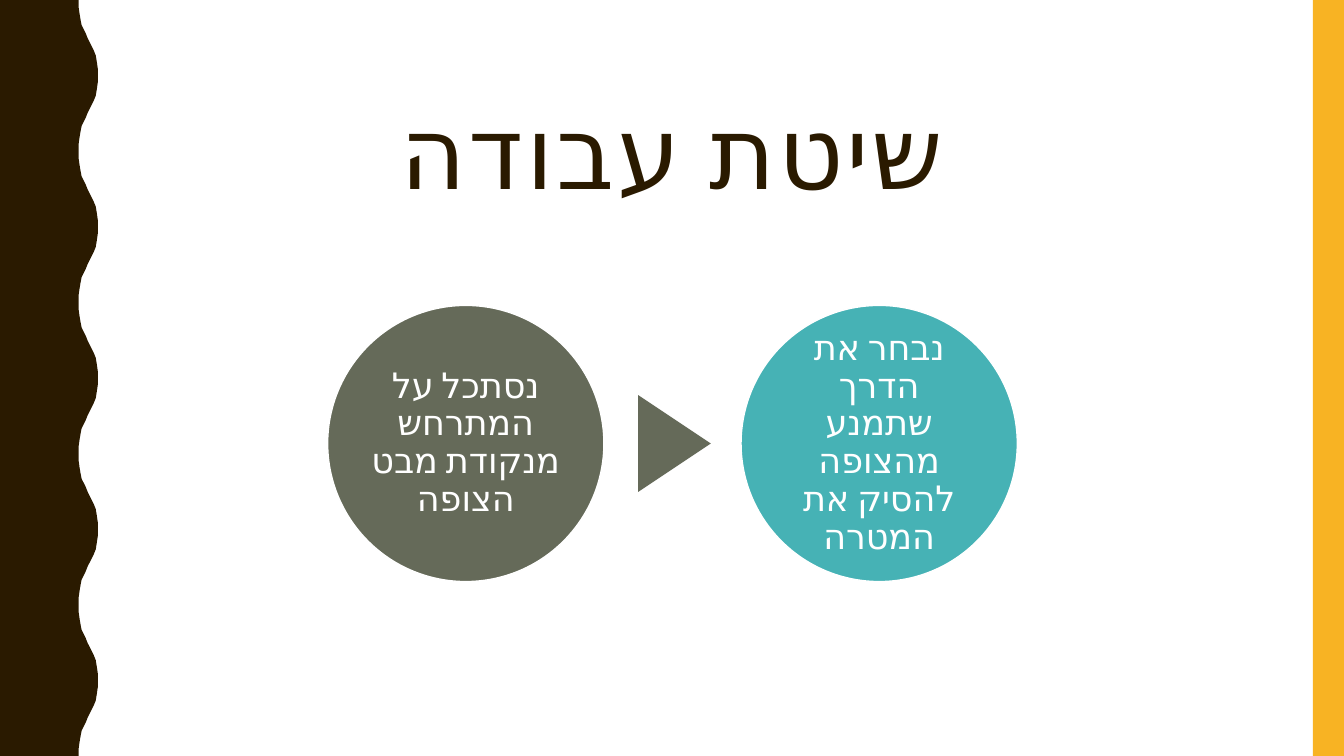
from lxml import etree
from pptx import Presentation, util as u
from pptx.dml.color import RGBColor
from pptx.enum import shapes, text
from pptx.oxml.ns import qn

TITLE = "שיטת עבודה"
STEPS = [
    ("נסתכל על המתרחש מנקודת מבט הצופה", "olive"),
    ("נבחר את הדרך שתמנע מהצופה להסיק את המטרה", "teal"),
]
COLORS = {
    "brown": "2A1A00",
    "amber": "F8B323",
    "olive": "656A59",
    "teal": "46B2B5",
    "white": "FFFFFF",
}

# Lengths in px, 100 to the inch
PX = 9144
WIDTH, HEIGHT = 1333, 750
STRIPE_WIDTH = 31
TITLE_BOX = (173, -54, 987, 420)
CIRCLE_LEFT, CIRCLE_TOP, CIRCLE_SIZE, CIRCLE_STEP = 325, 303, 274, 410
ARROW_BOX = (621, 404, 96, 72)
TEXT_INSET = 3
WAVE_PERIOD = 150
HALF_WAVE = [(78, 0), (78, 7), (79, 14), (80, 20), (81, 25), (83, 29), (85, 33),
             (87, 38), (89, 42), (91, 46), (93, 50), (95, 55), (96, 61),
             (97, 68), (97, 75)]


def emu(*lengths):
    return [u.Emu(length * PX) for length in lengths]


def color(name):
    return RGBColor.from_string(COLORS[name])


def paint(shape, fill, outline=None):
    shape.shadow.inherit = False
    shape.fill.solid()
    shape.fill.fore_color.rgb = color(fill)
    if outline:
        shape.line.color.rgb = color(outline)
        shape.line.width = u.Pt(1)
    else:
        shape.line.fill.background()


def write(shape, words, font_name, size, ink):
    """Put one centred Hebrew paragraph in the shape and return it."""
    frame = shape.text_frame
    frame.text = words
    frame.word_wrap = True
    frame.auto_size = text.MSO_AUTO_SIZE.NONE
    frame.vertical_anchor = text.MSO_ANCHOR.MIDDLE
    paragraph = frame.paragraphs[0]
    paragraph.alignment = text.PP_ALIGN.CENTER
    paragraph.line_spacing = 0.9
    font = paragraph.runs[0].font
    font.name, font.size = font_name, u.Pt(size)
    font.color.rgb = color(ink)
    properties = paragraph.runs[0]._r.get_or_add_rPr()
    properties.set("lang", "he-IL")
    etree.SubElement(properties, qn("a:cs")).set("typeface", font_name)
    return paragraph


def add_wavy_edge(slide):
    period = HALF_WAVE + [(x, WAVE_PERIOD - y) for x, y in HALF_WAVE[-2::-1]]
    outline = [(x, start + y) for start in range(0, HEIGHT, WAVE_PERIOD)
               for x, y in period]
    builder = slide.shapes.build_freeform(0, 0, scale=PX)
    builder.add_line_segments(outline + [(0, HEIGHT)], close=True)
    paint(builder.convert_to_shape(), "brown")


def add_title(slide):
    title = slide.shapes.title
    title.left, title.top, title.width, title.height = emu(*TITLE_BOX)
    paragraph = write(title, TITLE, "Roboto Condensed", 72, "brown")
    paragraph._p.get_or_add_pPr().set("rtl", "1")
    paragraph.runs[0]._r.get_or_add_rPr().set("spc", "200")


def add_steps(slide):
    for index, (words, fill) in enumerate(STEPS):
        left = CIRCLE_LEFT + index * CIRCLE_STEP
        circle = slide.shapes.add_shape(
            shapes.MSO_SHAPE.OVAL, *emu(left, CIRCLE_TOP, CIRCLE_SIZE, CIRCLE_SIZE))
        paint(circle, fill, "white")
        frame = circle.text_frame
        frame.margin_left = frame.margin_right = u.Emu(TEXT_INSET * PX)
        frame.margin_top = frame.margin_bottom = u.Emu(TEXT_INSET * PX)
        write(circle, words, "Cabin", 25, "white")
    arrow = slide.shapes.add_shape(
        shapes.MSO_SHAPE.ISOSCELES_TRIANGLE, *emu(*ARROW_BOX))
    arrow.rotation = 90
    paint(arrow, "olive")


def main():
    presentation = Presentation()
    presentation.slide_width, presentation.slide_height = emu(WIDTH, HEIGHT)
    slide = presentation.slides.add_slide(presentation.slide_layouts[5])
    add_wavy_edge(slide)
    stripe = slide.shapes.add_shape(
        shapes.MSO_SHAPE.RECTANGLE,
        *emu(WIDTH - STRIPE_WIDTH, 0, STRIPE_WIDTH, HEIGHT))
    paint(stripe, "amber")
    add_title(slide)
    add_steps(slide)
    presentation.save("out.pptx")


if __name__ == "__main__":
    main()
